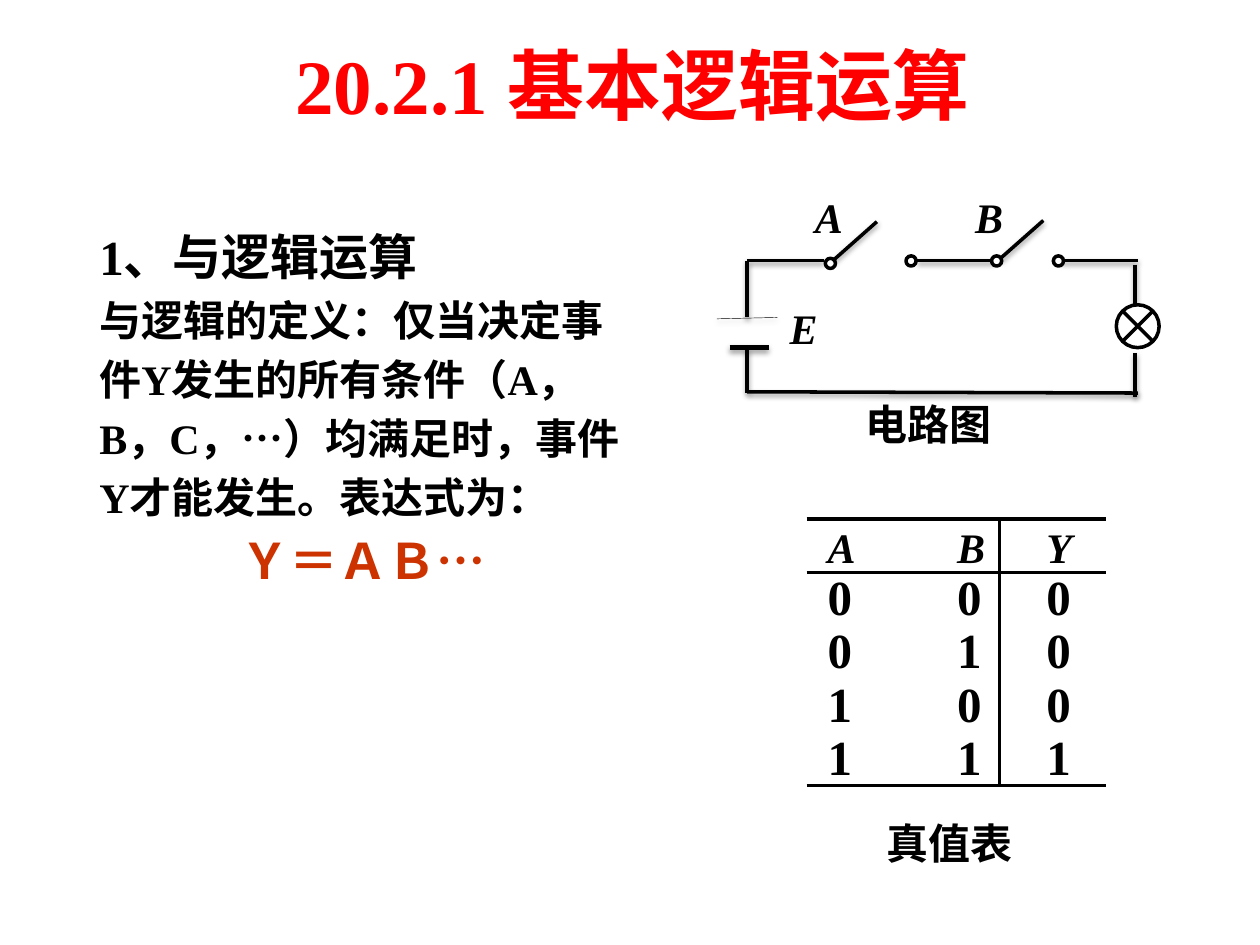
from typing import NamedTuple

from lxml.etree import SubElement
from pptx import Presentation
from pptx.dml.color import RGBColor
from pptx.enum.shapes import MSO_CONNECTOR as CONN, MSO_SHAPE as SHAPE
from pptx.enum.text import MSO_ANCHOR as ANCHOR, PP_ALIGN as ALIGN
from pptx.oxml import parse_xml
from pptx.oxml.ns import nsdecls, qn
from pptx.util import Pt

BLACK = RGBColor(0x00, 0x00, 0x00)
WHITE = RGBColor(0xFF, 0xFF, 0xFF)
RED = RGBColor(0xFF, 0x00, 0x00)
ORANGE = RGBColor(0xCC, 0x33, 0x00)
SERIF = "Times New Roman"
LEFT_X, RIGHT_X = 427, 650.2
TOP_Y, BOTTOM_Y = 149, 224.6
LAMP_X = 648.7


class Wire(NamedTuple):
    x1: float
    y1: float
    x2: float
    y2: float
    width: float = 2


class Node(NamedTuple):
    x: float
    y: float
    size: float = 5.8
    kind: SHAPE = SHAPE.OVAL


class Label(NamedTuple):
    text: str
    x: float
    y: float
    width: float
    italic: bool = False


class Line(NamedTuple):
    runs: tuple[tuple[str, str], ...]
    size: float = 24
    align: ALIGN = ALIGN.JUSTIFY
    color: RGBColor = BLACK


class Column(NamedTuple):
    name: str
    values: str
    width: float
    inset: float


WIRES = [
    Wire(LEFT_X, TOP_Y, 470.9, TOP_Y),
    Wire(475.9, TOP_Y, 501.1, 126.7),
    Wire(524.2, TOP_Y, 568.1, TOP_Y),
    Wire(571, 148.3, 596.2, 126),
    Wire(606.2, TOP_Y, RIGHT_X, TOP_Y),
    Wire(LAMP_X, 151.2, LAMP_X, 176.4),
    Wire(LAMP_X, 201.6, LAMP_X, 226.8),
    Wire(LEFT_X, 223.9, RIGHT_X, BOTTOM_Y),
    Wire(LEFT_X, TOP_Y, LEFT_X, 181.4),
    Wire(409.7, 182.2, 444.2, 181.4, 0.25),
    Wire(416.9, 198.7, 439.2, 198.7, 3),
    Wire(LEFT_X, 199.4, LEFT_X, BOTTOM_Y),
]
NODES = [
    Node(471.6, 147.6),
    Node(517.7, 146.2),
    Node(566.6, 146.2),
    Node(601.9, 146.2),
    Node(637.9, 174.2, 24.5, SHAPE.FLOWCHART_SUMMING_JUNCTION),
]
LABELS = [
    Label("A", 458.6, 105.8, 30, True),
    Label("B", 550.1, 105.8, 39, True),
    Label("E", 444.2, 169.2, 39, True),
    Label("电路图", 487.4, 223.9, 111.6),
    Label("真值表", 499.7, 463.7, 111.6),
]
BODY = [
    Line((("1", SERIF), ("、与逻辑运算", "Arial")), 28, ALIGN.LEFT),
    Line((("与逻辑的定义：仅当决定事", SERIF),)),
    Line((("件Y发生的所有条件（A，", SERIF),)),
    Line((("B，C，…）均满足时，事件", SERIF),)),
    Line((("Y才能发生。表达式为：", SERIF),)),
    Line((("Ｙ＝ＡＢ…", SERIF),), 28, ALIGN.CENTER, ORANGE),
]
COLUMNS = [
    Column("A", "0011", 72, 12),
    Column("B", "0101", 38, 14),
    Column("Y", "0001", 61, 27),
]


def style(p, size: float, color: RGBColor = BLACK, italic: bool = False) -> None:
    f = p.font
    f.size, f.bold, f.italic = Pt(size), True, italic
    f.color.rgb = color


def add_box(s, x: float, y: float, w: float, h: float):
    tf = s.shapes.add_textbox(Pt(x), Pt(y), Pt(w), Pt(h)).text_frame
    tf.word_wrap = True
    return tf


def add_label(s, label: Label) -> None:
    p = add_box(s, label.x, label.y, label.width, 36).paragraphs[0]
    p.text = label.text
    style(p, 24, italic=label.italic)
    p.font.name = SERIF


def add_title(s) -> None:
    p = add_box(s, 25.2, 18, 672.5, 90).paragraphs[0]
    p.text = "20.2.1 基本逻辑运算"
    p.alignment = ALIGN.CENTER
    style(p, 44, RED)
    p.font.name = SERIF


def add_body(s) -> None:
    tf = add_box(s, 49.7, 126, 315.4, 354.2)
    for i, line in enumerate(BODY):
        p = tf.add_paragraph() if i else tf.paragraphs[0]
        pr = p._p.get_or_add_pPr()
        pr.set("marL", str(Pt(27)))
        pr.set("indent", str(-Pt(27)))
        p.alignment = line.align
        if i:
            p.space_before = Pt(5)
        style(p, line.size, line.color)
        for text, font in line.runs:
            r = p.add_run()
            r.text, r.font.name = text, font


def add_wire(s, wire: Wire) -> None:
    sp = s.shapes.add_connector(CONN.STRAIGHT, *map(Pt, wire[:4]))
    sp.line.color.rgb, sp.line.width = BLACK, Pt(wire.width)
    sp._element.spPr.append(parse_xml(
        f'<a:effectLst {nsdecls("a")}><a:outerShdw blurRad="{Pt(3.1)}" '
        f'dist="{Pt(1.6)}" dir="5400000" rotWithShape="0"><a:srgbClr val="000000">'
        '<a:alpha val="38000"/></a:srgbClr></a:outerShdw></a:effectLst>'))


def add_node(s, node: Node) -> None:
    sp = s.shapes.add_shape(node.kind, *map(Pt, (node.x, node.y, node.size, node.size)))
    sp.shadow.inherit = False
    sp.fill.solid()
    sp.fill.fore_color.rgb = WHITE
    sp.line.color.rgb, sp.line.width = BLACK, Pt(2)


def set_borders(cell, shown: dict[str, bool]) -> None:
    pr = cell._tc.get_or_add_tcPr()
    for i, (side, visible) in enumerate(shown.items()):
        ln = SubElement(pr, qn(f"a:ln{side}"), w=str(Pt(2)))
        pr.insert(i, ln)
        if visible:
            SubElement(SubElement(ln, qn("a:solidFill")), qn("a:srgbClr"), val=str(BLACK))
        else:
            SubElement(ln, qn("a:noFill"))


def add_truth_table(s) -> None:
    width = sum(c.width for c in COLUMNS)
    table = s.shapes.add_table(5, len(COLUMNS), Pt(461), Pt(296.6), Pt(width), Pt(152.6)).table
    table.first_row = table.horz_banding = False
    for row in table.rows:
        row.height = Pt(30.52)
    for j, col in enumerate(COLUMNS):
        table.columns[j].width = Pt(col.width)
        for i, text in enumerate(col.name + col.values):
            cell = table.cell(i, j)
            cell.margin_left = Pt(col.inset)
            cell.margin_right = cell.margin_top = cell.margin_bottom = 0
            cell.vertical_anchor = ANCHOR.BOTTOM
            cell.fill.background()
            set_borders(cell, {"L": j == 2, "R": j == 1, "T": i < 2, "B": i in (0, 4)})
            p = cell.text_frame.paragraphs[0]
            p.text = text
            p.line_spacing = Pt(28)
            style(p, 28 if i else 24, italic=i == 0)
            p.font.name = SERIF


def main() -> None:
    prs = Presentation()
    prs.slide_width, prs.slide_height = Pt(720), Pt(540)
    s = prs.slides.add_slide(prs.slide_layouts[6])
    add_title(s)
    add_body(s)
    for wire in WIRES:
        add_wire(s, wire)
    for node in NODES:
        add_node(s, node)
    for label in LABELS:
        add_label(s, label)
    add_truth_table(s)
    prs.save("out.pptx")


if __name__ == "__main__":
    main()
